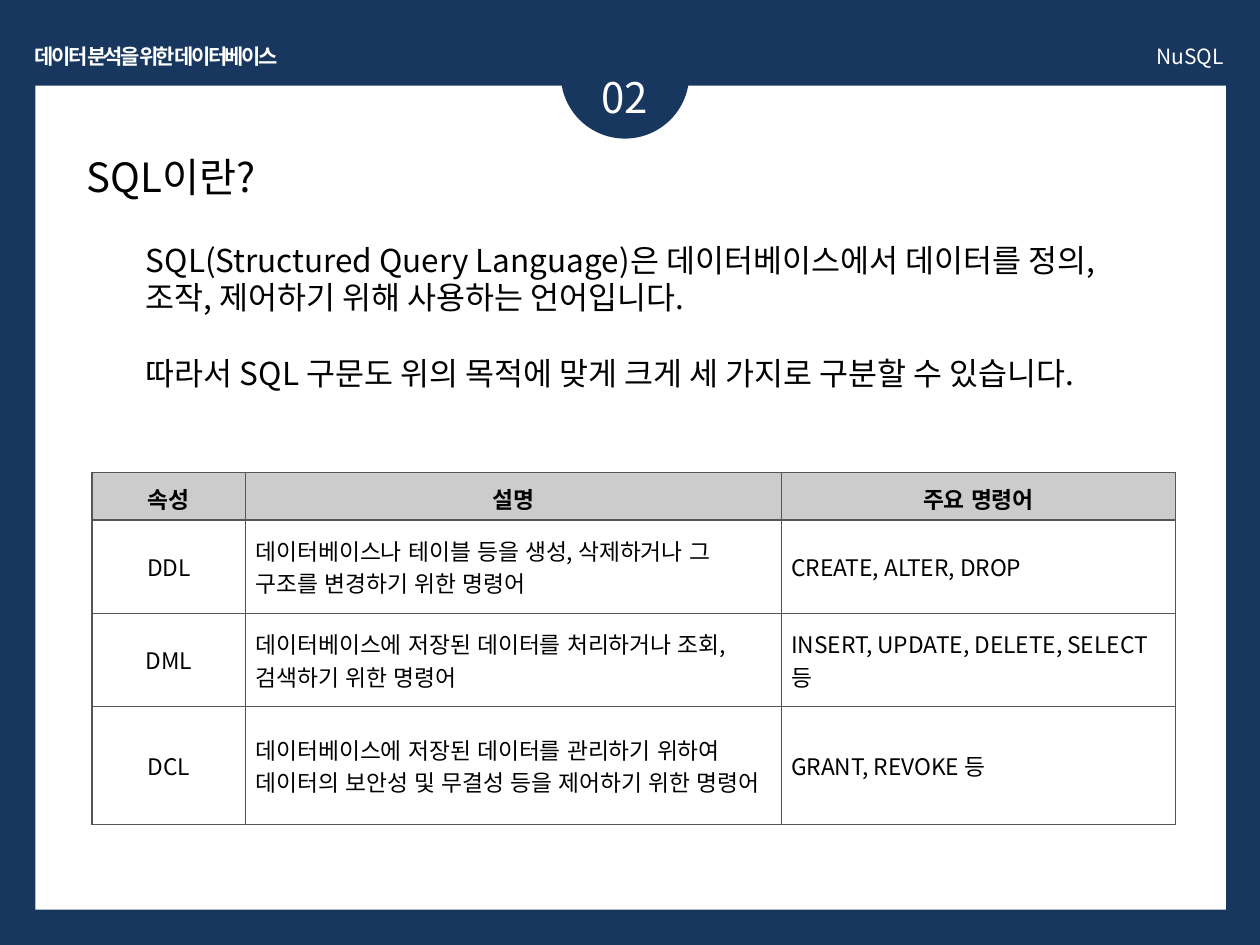
from dataclasses import dataclass

from pptx import Presentation, util as u
from pptx.dml.color import RGBColor
from pptx.enum import lang, shapes, text
from pptx.oxml import parse_xml
from pptx.oxml.ns import nsdecls, qn


@dataclass(frozen=True)
class Theme:
    font: str = "Noto Sans CJK KR"
    navy: str = "17375E"
    white: str = "FFFFFF"
    black: str = "000000"
    header: str = "CCCCCC"
    border: str = "555555"
    border_width: float = 0.75
    small: int = 12
    cell: int = 13
    body: int = 18
    title: int = 23
    number: int = 24


THEME = Theme()
LEFT, CENTER, RIGHT = text.PP_ALIGN.LEFT, text.PP_ALIGN.CENTER, text.PP_ALIGN.RIGHT
WIDTH, HEIGHT = 10, 7.5

PANEL = (0.28, 0.68, 9.45, 6.54)
BADGE = (4.45, 0.08, 1.02, 1.02)

COURSE = "데이터 분석을 위한 데이터베이스"
TOOL = "NuSQL"
NUMBER = "02"
TITLE = "SQL이란?"
BODY = [
    "SQL(Structured Query Language)은 데이터베이스에서 데이터를 정의, 조작, 제어하기 위해 사용하는 언어입니다.",
    "따라서 SQL 구문도 위의 목적에 맞게 크게 세 가지로 구분할 수 있습니다.",
]

COMMANDS = [
    ("속성", "설명", "주요 명령어"),
    ("DDL", "데이터베이스나 테이블 등을 생성, 삭제하거나 그 구조를 변경하기 위한 명령어", "CREATE, ALTER, DROP"),
    ("DML", "데이터베이스에 저장된 데이터를 처리하거나 조회, 검색하기 위한 명령어", "INSERT, UPDATE, DELETE, SELECT 등"),
    ("DCL", "데이터베이스에 저장된 데이터를 관리하기 위하여 데이터의 보안성 및 무결성 등을 제어하기 위한 명령어", "GRANT, REVOKE 등"),
]
TABLE_ORIGIN = (0.73, 3.75)
COLUMNS = (1.22, 4.25, 3.13)
ROWS = (0.37, 0.74, 0.74, 0.94)


def inches(lengths):
    return [u.Inches(length) for length in lengths]


def rgb(color):
    return RGBColor.from_string(color)


def style(paragraph, size, color, align, bold=False):
    paragraph.alignment = align
    for run in paragraph.runs:
        run.font.size = u.Pt(size)
        run.font.bold = bold
        run.font.color.rgb = rgb(color)
        run.font.name = THEME.font
        latin = run.font._element.find(qn("a:latin"))
        latin.addnext(parse_xml(f'<a:ea {nsdecls("a")} typeface="{THEME.font}"/>'))


def add_block(slide, kind, box, color):
    block = slide.shapes.add_shape(kind, *inches(box))
    block.shadow.inherit = False
    block.fill.solid()
    block.fill.fore_color.rgb = rgb(color)
    block.line.fill.background()


def add_words(slide, box, lines, size, color, align=LEFT, bold=False, wrap=True):
    frame = slide.shapes.add_textbox(*inches(box)).text_frame
    frame.word_wrap = wrap
    frame.auto_size = text.MSO_AUTO_SIZE.SHAPE_TO_FIT_TEXT
    frame.text = "\n".join(lines)
    for index, paragraph in enumerate(frame.paragraphs):
        paragraph.space_before = u.Pt(1.2 * size if index else 0)
        style(paragraph, size, color, align, bold)
    return frame


def add_borders(cell):
    properties = cell._tc.get_or_add_tcPr()
    for side in "LRTB":
        properties.append(parse_xml(
            f'<a:ln{side} {nsdecls("a")} w="{u.Pt(THEME.border_width)}"><a:solidFill>'
            f'<a:srgbClr val="{THEME.border}"/></a:solidFill></a:ln{side}>'))


def add_commands(slide):
    size = (sum(COLUMNS), sum(ROWS))
    table = slide.shapes.add_table(
        len(ROWS), len(COLUMNS), *inches(TABLE_ORIGIN + size)).table
    for column, width in zip(table.columns, inches(COLUMNS)):
        column.width = width
    for row, height in zip(table.rows, inches(ROWS)):
        row.height = height
    for r, entries in enumerate(COMMANDS):
        heading = r == 0
        for c, entry in enumerate(entries):
            cell = table.cell(r, c)
            cell.text_frame.text = entry
            cell.vertical_anchor = text.MSO_ANCHOR.MIDDLE
            cell.margin_left = cell.margin_right = u.Inches(0.08)
            cell.margin_top = cell.margin_bottom = u.Inches(0.08)
            add_borders(cell)
            cell.fill.solid()
            cell.fill.fore_color.rgb = rgb(THEME.header if heading else THEME.white)
            paragraph = cell.text_frame.paragraphs[0]
            style(paragraph, THEME.cell, THEME.black,
                  CENTER if heading or c == 0 else LEFT, heading)
            paragraph.runs[0].font.language_id = lang.MSO_LANGUAGE_ID.KOREAN


def main():
    deck = Presentation()
    deck.slide_width, deck.slide_height = inches((WIDTH, HEIGHT))
    slide = deck.slides.add_slide(deck.slide_layouts[6])
    slide.background.fill.solid()
    slide.background.fill.fore_color.rgb = rgb(THEME.navy)

    add_block(slide, shapes.MSO_SHAPE.RECTANGLE, PANEL, THEME.white)
    add_block(slide, shapes.MSO_SHAPE.OVAL, BADGE, THEME.navy)

    course = add_words(slide, (0.05, 0.3, 2.38, 0.3), [COURSE], THEME.small,
                       THEME.white, CENTER, bold=True, wrap=False)
    course.paragraphs[0].runs[0].font._element.set("spc", "-150")
    add_words(slide, (4.37, 0.52, 1.18, 0.5), [NUMBER], THEME.number, THEME.white, CENTER)
    add_words(slide, (5.87, 0.3, 3.94, 0.3), [TOOL], THEME.small, THEME.white, RIGHT)
    add_words(slide, (1.06, 1.86, 7.87, 1.62), BODY, THEME.body, THEME.black)
    add_words(slide, (0.59, 1.16, 8.74, 0.49), [TITLE], THEME.title, THEME.black)
    add_commands(slide)
    deck.save("out.pptx")


if __name__ == "__main__":
    main()
